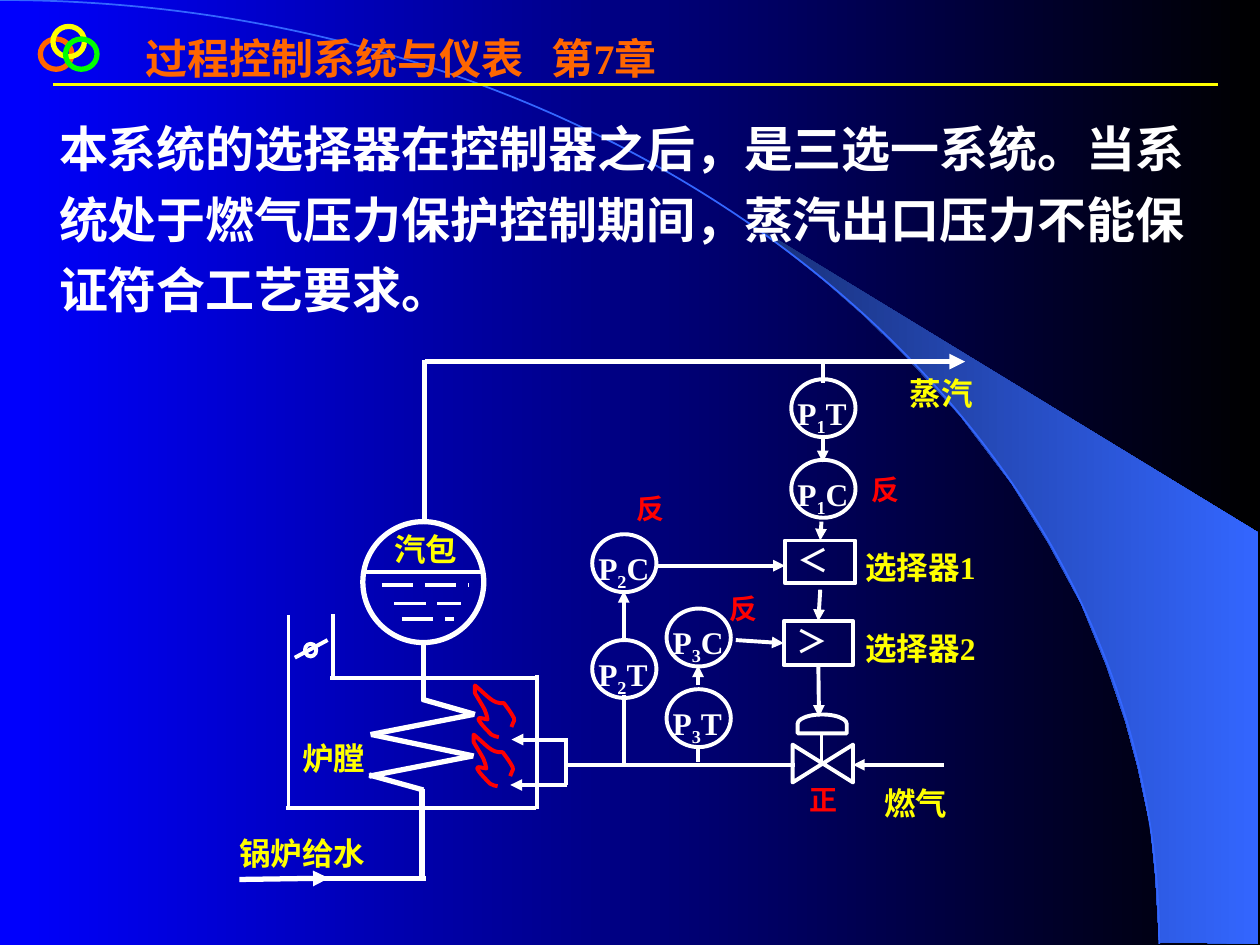
from pptx import Presentation
from pptx.dml.color import RGBColor
from pptx.enum import dml, shapes, text
from pptx.oxml.ns import qn
from pptx.util import Inches, Pt
from lxml import etree

WHITE = RGBColor(0xFF, 0xFF, 0xFF)
BLACK = RGBColor(0, 0, 0)
BLUE = RGBColor(0, 0, 0xFF)
SKY = RGBColor(0x33, 0x66, 0xFF)
NAVY = RGBColor(0x18, 0x2F, 0x76)
RED = RGBColor(0xFF, 0, 0)
ORANGE = RGBColor(0xFF, 0x66, 0)
YELLOW = RGBColor(0xFF, 0xFF, 0)
GREEN = RGBColor(0, 0xFF, 0)
LATIN, HAN = "Times New Roman", "Noto Sans CJK SC"
JUST = text.PP_ALIGN.JUSTIFY

deck = Presentation()
deck.slide_width, deck.slide_height = Inches(10), Inches(7.5)
slide = deck.slides.add_slide(deck.slide_layouts[6])
items = slide.shapes


def write(frame, parts, size, color, space=1.2, align=None, face=LATIN, stop=None):
    frame.word_wrap = True
    frame.vertical_anchor = text.MSO_ANCHOR.TOP
    para = frame.paragraphs[0]
    para.line_spacing = space
    para.alignment = align
    if stop:
        tabs = etree.SubElement(para._p.get_or_add_pPr(), qn("a:tabLst"))
        etree.SubElement(tabs, qn("a:tab"), pos=str(Inches(stop)), algn="l")
    for part in parts:
        run = para.add_run()
        run.text = part
        run.font.size, run.font.bold, run.font.name = Pt(size), True, face
        run.font.color.rgb = color
        props = run._r.get_or_add_rPr()
        etree.SubElement(props, qn("a:ea"), typeface=HAN)
        if len(parts) == 3 and part == parts[1]:
            props.set("baseline", "-25000")


def trace(dots, curved=False):
    pen = items.build_freeform(Inches(dots[0][0]), Inches(dots[0][1]))
    pen.add_line_segments([(Inches(x), Inches(y)) for x, y in dots[1:]], close=not curved)
    form = pen.convert_to_shape()
    form.shadow.inherit = False
    if curved:
        form.fill.background()
        legs = list(form._element.iter(qn("a:lnTo")))
        for i in range(0, len(legs), 3):
            bend = etree.Element(qn("a:cubicBezTo"))
            legs[i].addprevious(bend)
            for leg in legs[i:i + 3]:
                bend.append(leg[0])
                leg.getparent().remove(leg)
    return form


beam = trace([(9.2, 7.48), (9.99, 7.49), (9.99, 4.23), (5.89, 1.73), (6.24, 1.99), (6.53, 2.22),
              (6.85, 2.5), (7.16, 2.8), (7.62, 3.3), (8.03, 3.84), (8.32, 4.31), (8.58, 4.79),
              (8.78, 5.28), (8.93, 5.72), (9.03, 6.09), (9.13, 6.56), (9.17, 6.96)])
beam.line.fill.background()
for fill, hues in [(slide.background.fill, (BLUE, BLACK)), (beam.fill, (NAVY, SKY))]:
    fill.gradient()
    fill.gradient_angle = 0
    for stop, hue in zip(fill.gradient_stops, hues):
        stop.color.rgb = hue
arc = trace([(0, 0), (5.08, 0), (9.2, 3.35), (9.2, 7.49)], True)
arc.line.color.rgb, arc.line.width = SKY, Pt(1)

title = items.add_textbox(Inches(1.06), Inches(0.21), Inches(4.49), Inches(0.9))
write(title.text_frame, ["过程控制系统与仪表\t第7章"], 24, ORANGE, 1, stop=3.22)
body = items.add_textbox(Inches(0.37), Inches(0.8), Inches(9.35), Inches(1.78))
write(body.text_frame, ["本系统的选择器在控制器之后，是三选一系统。当系统处于燃气压力保护控制期间，"
                        "蒸汽出口压力不能保证符合工艺要求。"], 28, WHITE)

gauges = [("P", "1", "T", 6.28, 3.01), ("P", "1", "C", 6.28, 3.65),
          ("P", "2", "C", 4.7, 4.24), ("P", "2", "T", 4.7, 5.08),
          ("P", "3", "C", 5.29, 4.83), ("P", "3", "T", 5.29, 5.47)]
KIND = shapes.MSO_SHAPE
forms = [(KIND.OVAL, 0.32, 0.31, 0.25, 0.24, 0, ORANGE, 3),
         (KIND.OVAL, 0.42, 0.21, 0.25, 0.24, 0, YELLOW, 3),
         (KIND.OVAL, 0.52, 0.31, 0.25, 0.24, 0, GREEN, 3),
         (KIND.OVAL, 2.88, 4.14, 0.96, 0.96, 0, WHITE, 3),
         (KIND.FLOWCHART_CONNECTOR, 2.42, 5.11, 0.09, 0.1, 0, WHITE, 2.25),
         (KIND.FLOWCHART_COLLATE, 6.38, 5.82, 0.3, 0.48, 270, WHITE, 2.25),
         (KIND.FLOWCHART_DELAY, 6.45, 5.55, 0.15, 0.39, 270, WHITE, 2.25),
         (KIND.RECTANGLE, 6.23, 4.29, 0.56, 0.34, 0, WHITE, 2.25),
         (KIND.RECTANGLE, 6.22, 4.93, 0.55, 0.35, 0, WHITE, 2.25)]
forms += [(KIND.OVAL, x, y, 0.51, 0.46, 0, WHITE, 2.25) for *_, x, y in gauges]
made = []
for kind, x, y, w, h, turn, hue, width in forms:
    form = items.add_shape(kind, Inches(x), Inches(y), Inches(w), Inches(h))
    form.shadow.inherit = False
    form.fill.background()
    form.line.color.rgb, form.line.width = hue, Pt(width)
    form.rotation = turn
    made.append(form)
low, high = made[7:9]
write(low.text_frame, ["＜"], 18, WHITE, 0.85, JUST, HAN)
write(high.text_frame, ["＞"], 18, WHITE, 0.85, JUST, HAN)

flame = [(3.96, 5.85), (3.94, 5.84), (3.92, 5.85), (3.9, 5.83), (3.73, 5.66), (3.81, 5.7),
         (3.87, 5.71), (3.87, 5.69), (3.86, 5.67), (3.85, 5.64), (3.85, 5.63), (3.78, 5.52),
         (3.77, 5.5), (3.77, 5.48), (3.77, 5.46), (3.77, 5.44), (3.87, 5.52), (3.91, 5.59),
         (4, 5.58), (4.03, 5.62), (4.06, 5.66), (4.08, 5.7), (4.09, 5.73), (4.06, 5.74),
         (4.06, 5.77)]
for shift, drop in [(0, 0), (-0.01, 0.39)]:
    fire = trace([(x + shift, y + drop) for x, y in flame], True)
    fire.line.color.rgb, fire.line.width = RED, Pt(2.25)

plain = [(2.29, 4.88, 2.29, 6.41), (4.26, 5.36, 4.26, 6.42), (2.27, 6.41, 4.25, 6.41),
         (4.51, 6.07, 6.31, 6.07), (2.62, 5.38, 4.26, 5.38), (2.64, 5.38, 2.64, 4.87),
         (4.49, 5.86, 4.49, 6.23), (4.95, 6.06, 4.95, 5.52), (6.53, 2.87, 6.53, 3.04),
         (2.34, 5.22, 2.6, 5.08), (5.54, 5.92, 5.54, 6.05), (6.52, 5.82, 6.52, 6.06),
         (2.88, 4.54, 3.82, 4.54)]
thick = [(3.38, 6.97, 2.57, 6.97), (3.36, 5.11, 3.36, 5.56), (3.35, 5.55, 3.77, 5.67),
         (3.76, 5.67, 2.94, 5.83), (2.95, 5.83, 3.76, 6), (3.75, 6, 2.93, 6.16),
         (2.93, 6.15, 3.36, 6.27), (3.35, 6.26, 3.35, 6.96), (3.37, 4.14, 3.37, 2.86)]
dashed = [(3.03, 4.64, 3.72, 4.64), (3.13, 4.79, 3.66, 4.79), (3.19, 4.91, 3.6, 4.91)]
flows = [(1.9, 6.98, 2.61, 6.97), (3.37, 2.87, 7.66, 2.87)]
signals = [(6.52, 4.14, 6.52, 4.3), (6.51, 4.68, 6.5, 4.94), (5.84, 5.08, 6.22, 5.1),
           (6.51, 5.3, 6.5, 5.69), (5.2, 4.49, 6.23, 4.49), (7.49, 6.07, 6.77, 6.07),
           (4.5, 6.23, 4.05, 6.23), (4.49, 5.87, 4.06, 5.87), (6.53, 3.45, 6.53, 3.67),
           (5.54, 5.44, 5.54, 5.28), (4.95, 5.06, 4.95, 4.69)]
rule = [(0.42, 0.67, 9.67, 0.67)]
wires = []
for group, hue, width, dash, arrow in [
        (signals, WHITE, 2.25, False, True), (flows, WHITE, 3, False, True),
        (plain, WHITE, 2.25, False, False), (thick, WHITE, 3, False, False),
        (dashed, WHITE, 2.25, True, False), (rule, YELLOW, 1.5, False, False)]:
    for ends in group:
        wire = items.add_connector(shapes.MSO_CONNECTOR.STRAIGHT, *map(Inches, ends))
        wire.line.color.rgb, wire.line.width = hue, Pt(width)
        if dash:
            wire.line.dash_style = dml.MSO_LINE.LONG_DASH
        props = wire._element.spPr
        if arrow:
            etree.SubElement(props.get_or_add_ln(), qn("a:tailEnd"), type="triangle")
        etree.SubElement(props, qn("a:effectLst"))
        wires.append(wire)
for wire, box, side in zip(wires, (low, high, high), (0, 0, 1)):
    wire.end_connect(box, side)
wires[3].begin_connect(high, 2)

labels = [([p, n, s], x - 0.05, y, 0.64, 0.34, 18, WHITE, JUST) for p, n, s, x, y in gauges]
labels += [([word], x, y, w, 0.44, 18, YELLOW, JUST) for word, x, y, w in [
    ("燃气", 6.92, 6.11, 0.81), ("锅炉给水", 1.8, 6.51, 1.46), ("蒸汽", 7.12, 2.86, 0.89),
    ("汽包", 3.03, 4.1, 0.89), ("炉膛", 2.3, 5.76, 0.8), ("选择器1", 6.77, 4.24, 1.27),
    ("选择器2", 6.77, 4.88, 1.4)]]
labels += [([word], x, y, 0.59, 0.42, 16, RED, None) for word, x, y in [
    ("正", 6.33, 6.11), ("反", 5.69, 4.59), ("反", 4.95, 3.8), ("反", 6.82, 3.65)]]
for parts, x, y, w, h, size, hue, align in labels:
    label = items.add_textbox(Inches(x), Inches(y), Inches(w), Inches(h))
    write(label.text_frame, parts, size, hue, align=align)

deck.save("out.pptx")
